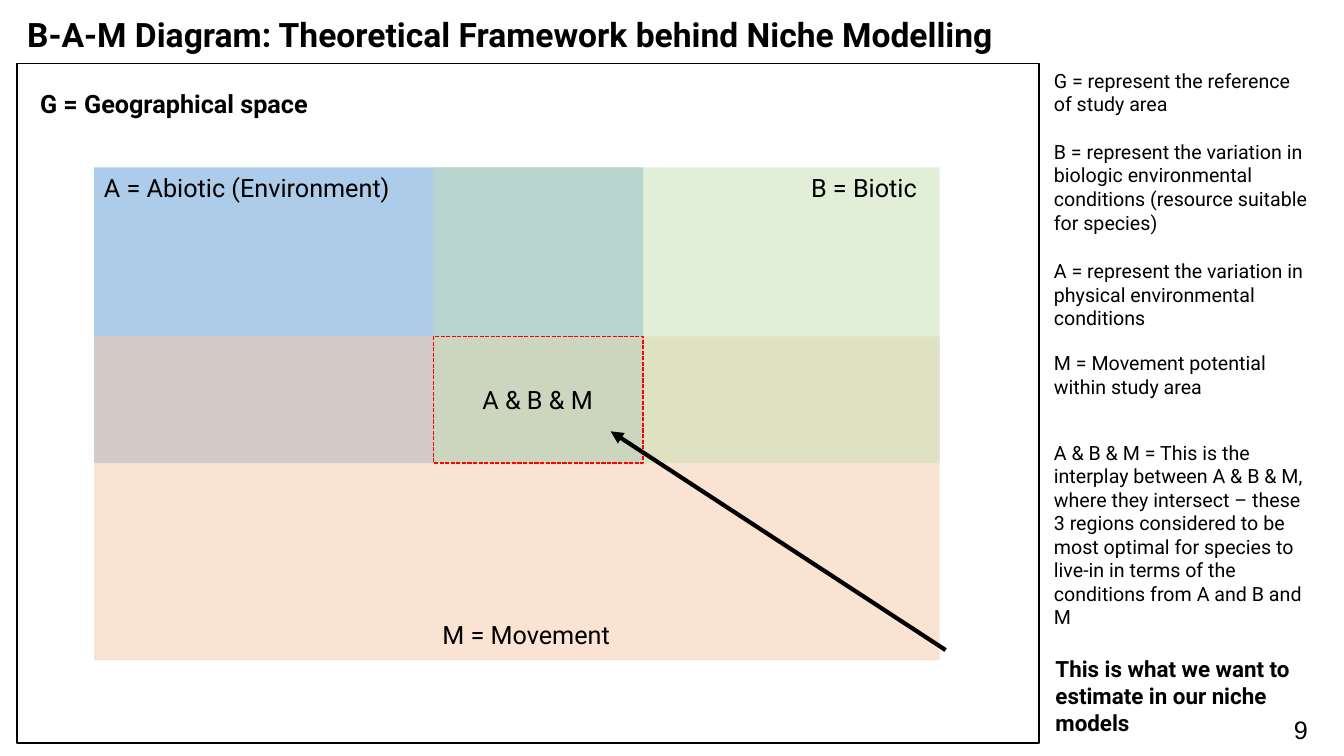
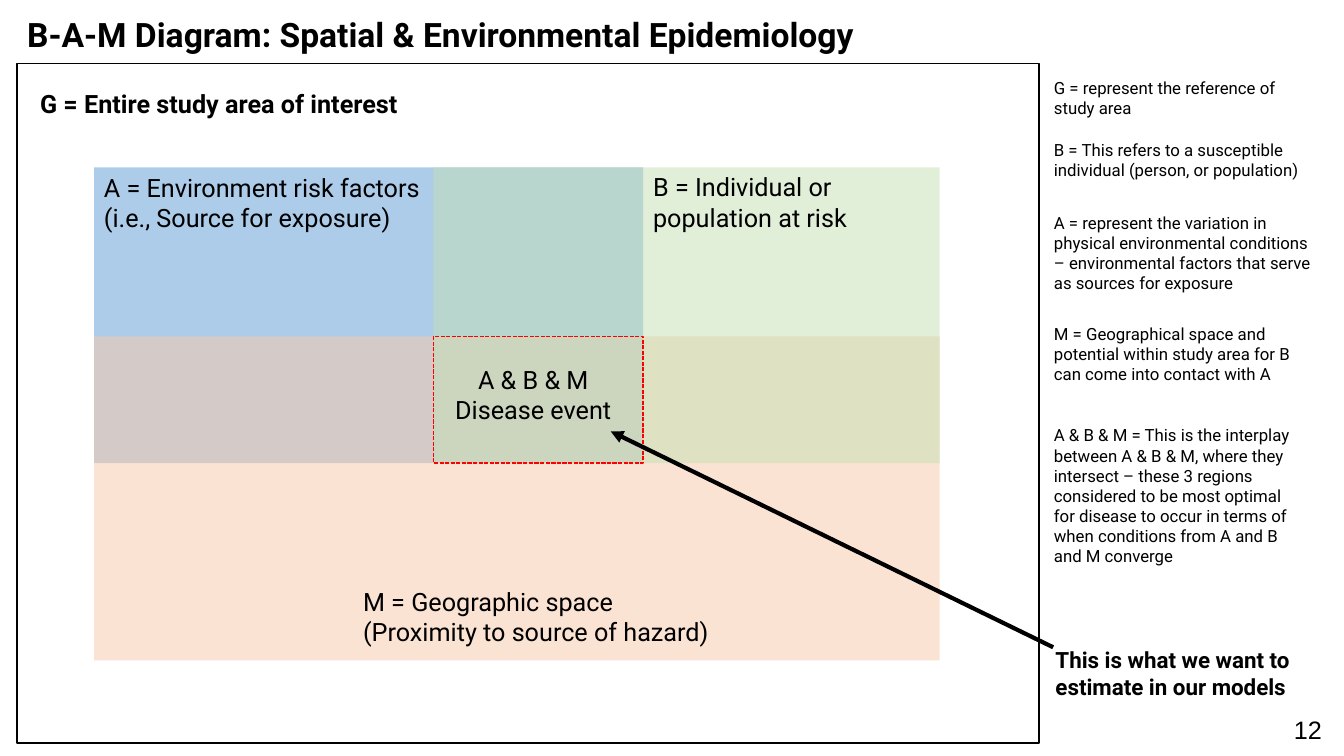
from dataclasses import dataclass

from lxml.etree import SubElement
from pptx import Presentation
from pptx.dml.color import RGBColor
from pptx.enum.dml import MSO_LINE
from pptx.enum.shapes import MSO_CONNECTOR as Connector, MSO_SHAPE as Preset
from pptx.enum.text import MSO_ANCHOR as Anchor, MSO_AUTO_SIZE as AutoSize, PP_ALIGN as Align
from pptx.oxml.ns import qn
from pptx.util import Cm, Pt


@dataclass(frozen=True)
class Theme:
    ink: str = "000000"
    abiotic: str = "5B9BD5"
    biotic: str = "C5E0B4"
    movement: str = "F8CBAD"
    focus: str = "FF0000"
    font: str = "Roboto"
    number_font: str = "Arial"
    title: int = 24
    label: int = 18
    takeaway: int = 16


THEME = Theme()

# Content: labels are (lines, left, top, width), notes are (text, top), in cm
SLIDES = [
    dict(
        title="B-A-M Diagram: Theoretical Framework behind Niche Modelling",
        number="9",
        space="G = Geographical space",
        labels=[
            (["A = Abiotic (Environment)"], 2.37, 4.22, 7.87),
            (["B = Biotic"], 20.19, 4.22, 3.49),
            (["M = Movement"], 10.9, 15.47, 5.31),
        ],
        event=(["A & B & M"], 11.81, 9.55, 3.48),
        note_size=14,
        notes=[
            ("G = represent the reference of study area", 1.6),
            ("B = represent the variation in biologic environmental conditions "
             "(resource suitable for species)", 3.4),
            ("A = represent the variation in physical environmental conditions", 6.4),
            ("M = Movement potential within study area", 8.72),
            ("A & B & M = This is the interplay between A & B & M, where they intersect "
             "– these 3 regions considered to be most optimal for species to live-in "
             "in terms of the conditions from A and B and M", 10.98),
        ],
        takeaway=("This is what we want to estimate in our niche models", 16.38),
        arrow_start=(23.83, 16.38),
    ),
    dict(
        title="B-A-M Diagram: Spatial & Environmental Epidemiology",
        number="12",
        space="G = Entire study area of interest",
        labels=[
            (["A = Environment risk factors", "(i.e., Source for exposure)"], 2.37, 4.22, 9.12),
            (["B = Individual or population at risk"], 16.21, 4.2, 7.47),
            (["M = Geographic space", "(Proximity to source of hazard)"], 8.9, 14.65, 9.45),
        ],
        event=(["A & B & M", "Disease event"], 11.05, 9.05, 4.78),
        note_size=12,
        notes=[
            ("G = represent the reference of study area", 1.83),
            ("B = This refers to a susceptible individual (person, or population)", 3.4),
            ("A = represent the variation in physical environmental conditions "
             "– environmental factors that serve as sources for exposure", 5.23),
            ("M = Geographical space and potential within study area for B "
             "can come into contact with A", 8.03),
            ("A & B & M = This is the interplay between A & B & M, where they intersect "
             "– these 3 regions considered to be most optimal for disease to occur "
             "in terms of when conditions from A and B and M converge", 10.59),
        ],
        takeaway=("This is what we want to estimate in our models", 16.15),
        arrow_start=(26.54, 16.31),
    ),
]

# Shared layout in cm: regions are (left, top, right, bottom)
STUDY_AREA = (0.43, 1.6, 26.19, 18.72)
ABIOTIC = (2.37, 4.22, 16.21, 11.67)
MOVEMENT = (2.37, 8.48, 23.68, 16.64)
BIOTIC = (10.92, 4.22, 23.68, 11.67)
REGIONS = [
    (ABIOTIC, THEME.abiotic, 50),
    (MOVEMENT, THEME.movement, 53),
    (BIOTIC, THEME.biotic, 50),
]
OVERLAP = (BIOTIC[0], MOVEMENT[1], ABIOTIC[2], ABIOTIC[3])
NOTE_LEFT = 26.31
NOTE_WIDTHS = (6.71, 7.11, 7.04, 7.04, 6.83)
ARROW_TIP = (15.39, 10.87)


def write(frame, lines, size=THEME.label, bold=False, font=THEME.font,
          align=Align.LEFT, spacing=None):
    frame.word_wrap = True
    frame.auto_size = AutoSize.NONE
    frame.vertical_anchor = Anchor.TOP
    for index, line in enumerate(lines):
        paragraph = frame.add_paragraph() if index else frame.paragraphs[0]
        paragraph.alignment = align
        if spacing:
            paragraph.line_spacing = spacing
        run = paragraph.add_run()
        run.text = line
        run.font.name, run.font.size, run.font.bold = font, Pt(size), bold
        run.font.color.rgb = RGBColor.from_string(THEME.ink)


def add_text(slide, lines, left, top, width, height=1.02, **style):
    box = slide.shapes.add_textbox(Cm(left), Cm(top), Cm(width), Cm(height))
    write(box.text_frame, lines, **style)


def add_region(slide, edges, fill=None, opacity=100, line=None, dash=None):
    left, top, right, bottom = edges
    region = slide.shapes.add_shape(
        Preset.RECTANGLE, Cm(left), Cm(top), Cm(right - left), Cm(bottom - top))
    region.shadow.inherit = False
    if fill:
        region.fill.solid()
        region.fill.fore_color.rgb = RGBColor.from_string(fill)
        color = region.fill._xPr.find(qn("a:solidFill"))[0]
        SubElement(color, qn("a:alpha"), val=str(opacity * 1000))
    else:
        region.fill.background()
    if line:
        region.line.color.rgb = RGBColor.from_string(line)
        region.line.width = Pt(1)
        if dash:
            region.line.dash_style = dash
    else:
        region.line.fill.background()


def add_arrow(slide, start, tip):
    arrow = slide.shapes.add_connector(
        Connector.STRAIGHT, *(Cm(value) for value in (*start, *tip)))
    arrow.line.color.rgb = RGBColor.from_string(THEME.ink)
    arrow.line.width = Pt(3)
    SubElement(arrow.line._get_or_add_ln(), qn("a:tailEnd"), type="triangle")
    SubElement(arrow._element.spPr, qn("a:effectLst"))


def add_slide(deck, content):
    slide = deck.slides.add_slide(deck.slide_layouts.get_by_name("Title Only"))

    # Title and study area
    title = slide.shapes.title
    title.left, title.top, title.width, title.height = Cm(0.43), Cm(0.33), Cm(27.18), Cm(1.8)
    write(title.text_frame, [content["title"]], size=THEME.title, bold=True, spacing=0.9)
    add_region(slide, STUDY_AREA, line=THEME.ink)
    add_text(slide, [content["space"]], 0.76, 2.11, 14.55, bold=True)

    # Overlapping regions and their labels
    for edges, color, opacity in REGIONS:
        add_region(slide, edges, color, opacity)
    add_region(slide, OVERLAP, line=THEME.focus, dash=MSO_LINE.SQUARE_DOT)
    for lines, left, top, width in content["labels"]:
        add_text(slide, lines, left, top, width, 1.02 * len(lines))
    lines, left, top, width = content["event"]
    add_text(slide, lines, left, top, width, 1.02 * len(lines), align=Align.CENTER)

    # Definitions beside the diagram
    tops = [top for _, top in content["notes"]]
    takeaway, takeaway_top = content["takeaway"]
    bottoms = tops[1:] + [takeaway_top]
    for (note, top), bottom, width in zip(content["notes"], bottoms, NOTE_WIDTHS):
        add_text(slide, [note], NOTE_LEFT, top, width, bottom - top,
                 size=content["note_size"])

    # Takeaway, its arrow and the slide number
    add_text(slide, [takeaway], NOTE_LEFT + 0.04, takeaway_top, 7.16, 2.3,
             size=THEME.takeaway, bold=True)
    add_arrow(slide, content["arrow_start"], ARROW_TIP)
    add_text(slide, [content["number"]], 32.36, 17.88, 1.5, font=THEME.number_font)


def main():
    deck = Presentation()
    deck.slide_width, deck.slide_height = Cm(33.87), Cm(19.05)
    for content in SLIDES:
        add_slide(deck, content)
    deck.save("out.pptx")


if __name__ == "__main__":
    main()
